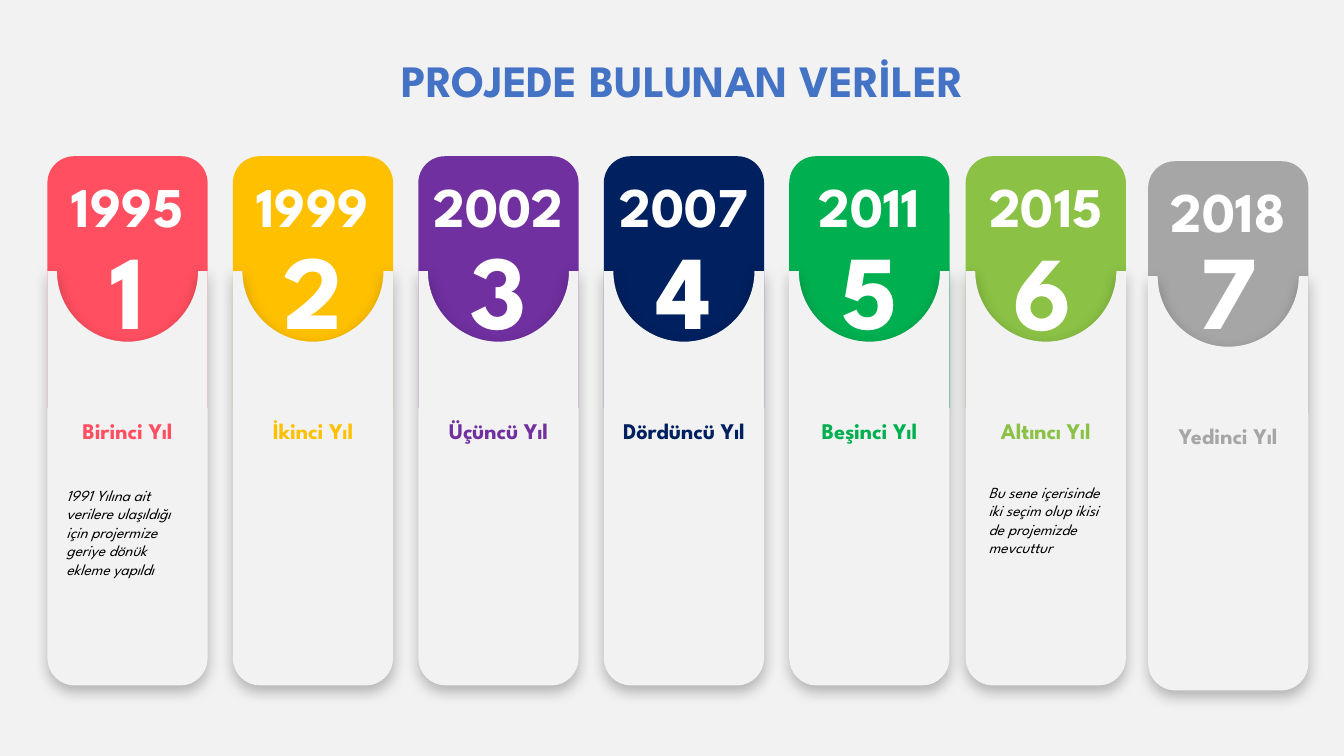
from dataclasses import dataclass

from lxml import etree
from pptx import Presentation, util as u
from pptx.dml.color import RGBColor
from pptx.enum import shapes, text
from pptx.oxml import ns

PX = 9144  # EMU per px, 100 px to the inch
FONT = "League Spartan"
COLORS = {
    "background": "F2F2F2", "heading": "4472C4", "white": "FFFFFF", "black": "000000",
    "coral": "FF4F60", "amber": "FFC000", "purple": "7030A0", "navy": "002060",
    "green": "00B050", "lime": "8BC145", "gray": "A6A6A6",
}

CARD_WIDTH, CARD_TOP, CARD_HEIGHT = 159, 155, 250
PANEL_TOP, PANEL_HEIGHT = 269, 411
NOTCH_RADIUS, CORNER_RADIUS = 70, 27
CURVE = 0.55  # handle length of a quarter circle, as a share of its radius

Point = tuple[float, float]


@dataclass(frozen=True)
class YearCard:
    left: int
    year: str
    label: str
    color: str
    drop: int = 0
    number_left: int = 0
    number_drop: int = 0


@dataclass(frozen=True)
class Note:
    left: int
    top: int
    wording: str


@dataclass(frozen=True)
class Step:
    """One piece of an outline; a piece with a corner is a quarter circle."""
    end: Point
    corner: Point | None = None


YEAR_CARDS = [
    YearCard(47, "1995", "Birinci Yıl", "coral"),
    YearCard(231, "1999", "İkinci Yıl", "amber"),
    YearCard(415, "2002", "Üçüncü Yıl", "purple"),
    YearCard(599, "2007", "Dördüncü Yıl", "navy"),
    YearCard(783, "2011", "Beşinci Yıl", "green"),
    YearCard(958, "2015", "Altıncı Yıl", "lime", number_left=-3, number_drop=1),
    YearCard(1139, "2018", "Yedinci Yıl", "gray", drop=5),
]
NOTES = [
    Note(56, 477, "1991 Yılına ait verilere ulaşıldığı için projermize "
                  "geriye dönük ekleme yapıldı"),
    Note(971, 474, "Bu sene içerisinde iki seçim olup ikisi de projemizde mevcuttur"),
]


def emu(px: float) -> int:
    return round(px * PX)


def rgb(name: str) -> RGBColor:
    return RGBColor.from_string(COLORS[name])


def paint(shape, color: str) -> None:
    shape.fill.solid()
    shape.fill.fore_color.rgb = rgb(color)
    shape.line.fill.background()
    shape.shadow.inherit = False


def write(shape, wording: str, size: int, color: str, bold: bool = True,
          italic: bool = False, align=text.PP_ALIGN.CENTER) -> None:
    frame = shape.text_frame
    frame.word_wrap = True
    frame.auto_size = text.MSO_AUTO_SIZE.SHAPE_TO_FIT_TEXT
    frame.vertical_anchor = text.MSO_ANCHOR.TOP
    paragraph = frame.paragraphs[0]
    paragraph.alignment = align
    run = paragraph.add_run()
    run.text = wording
    run.font.name = FONT
    run.font.size = u.Pt(size)
    run.font.bold = bold
    run.font.italic = italic
    run.font.color.rgb = rgb(color)


def add_text(slide, left: int, top: int, width: int, height: int,
             wording: str, size: int, color: str, **style) -> None:
    box = slide.shapes.add_textbox(emu(left), emu(top), emu(width), emu(height))
    write(box, wording, size, color, **style)


def add_shadow(shape) -> None:
    effects = shape._element.spPr.find(ns.qn("a:effectLst"))
    shadow = etree.SubElement(effects, ns.qn("a:outerShdw"), blurRad=str(u.Pt(10)),
                              dist=str(u.Pt(4)), dir="5400000", algn="ctr", rotWithShape="0")
    black = etree.SubElement(shadow, ns.qn("a:srgbClr"), val=COLORS["black"])
    etree.SubElement(black, ns.qn("a:alpha"), val="25000")


def toward(point: Point, corner: Point) -> Point:
    return tuple(p + CURVE * (c - p) for p, c in zip(point, corner))


def round_off(shape, steps: list[Step]) -> None:
    """Turn the straight pieces that have a corner into curves."""
    pieces = list(shape._element.spPr.iter(ns.qn("a:lnTo")))
    start: Point = (0, 0)
    for piece, step in zip(pieces, steps):
        if step.corner:
            curve = etree.Element(ns.qn("a:cubicBezTo"))
            for x, y in (toward(start, step.corner), toward(step.end, step.corner), step.end):
                etree.SubElement(curve, ns.qn("a:pt"), x=str(emu(x)), y=str(emu(y)))
            piece.getparent().replace(piece, curve)
        start = step.end


def add_panel(slide, left: int, top: int) -> None:
    width, height, radius = CARD_WIDTH, PANEL_HEIGHT, CORNER_RADIUS
    middle = width / 2
    notch_left, notch_right = middle - NOTCH_RADIUS, middle + NOTCH_RADIUS
    steps = [
        Step((notch_left, 0)),
        Step((middle, NOTCH_RADIUS), corner=(notch_left, NOTCH_RADIUS)),
        Step((notch_right, 0), corner=(notch_right, NOTCH_RADIUS)),
        Step((width, 0)),
        Step((width, height - radius)),
        Step((width - radius, height), corner=(width, height)),
        Step((radius, height)),
        Step((0, height - radius), corner=(0, height)),
    ]
    builder = slide.shapes.build_freeform(0, 0)
    builder.add_line_segments([(emu(x), emu(y)) for x, y in (s.end for s in steps)], close=True)
    panel = builder.convert_to_shape(emu(left), emu(top))
    round_off(panel, steps)
    paint(panel, "background")
    add_shadow(panel)


def add_year_card(slide, number: int, card: YearCard) -> None:
    left, top = card.left, CARD_TOP + card.drop
    header = slide.shapes.add_shape(shapes.MSO_SHAPE.ROUND_2_SAME_RECTANGLE, emu(left),
                                    emu(top), emu(CARD_WIDTH), emu(CARD_HEIGHT))
    paint(header, card.color)
    add_text(slide, left, top + 10, CARD_WIDTH, 77, card.year, 40, "white")
    add_text(slide, left + card.number_left, 218 + card.number_drop, CARD_WIDTH, 136,
             str(number), 75, "white")
    add_panel(slide, left, PANEL_TOP + card.drop)
    add_text(slide, left, 409 + card.drop, CARD_WIDTH, 37, card.label, 16, card.color)


def main() -> None:
    deck = Presentation()
    deck.slide_width, deck.slide_height = emu(4000 / 3), emu(750)
    slide = deck.slides.add_slide(deck.slide_layouts.get_by_name("Title Only"))
    slide.background.fill.solid()
    slide.background.fill.fore_color.rgb = rgb("background")

    # Heading
    heading = slide.shapes.title
    heading.left, heading.top = emu(286), emu(47)
    heading.width, heading.height = emu(784), emu(64)
    write(heading, "PROJEDE BULUNAN VERİLER", 32, "heading")

    # Year cards
    for number, card in enumerate(YEAR_CARDS, start=1):
        add_year_card(slide, number, card)

    # Notes on the first and sixth years
    for note in NOTES:
        add_text(slide, note.left, note.top, 140, 103, note.wording, 11, "black",
                 bold=False, italic=True, align=text.PP_ALIGN.LEFT)

    deck.save("out.pptx")


if __name__ == "__main__":
    main()
